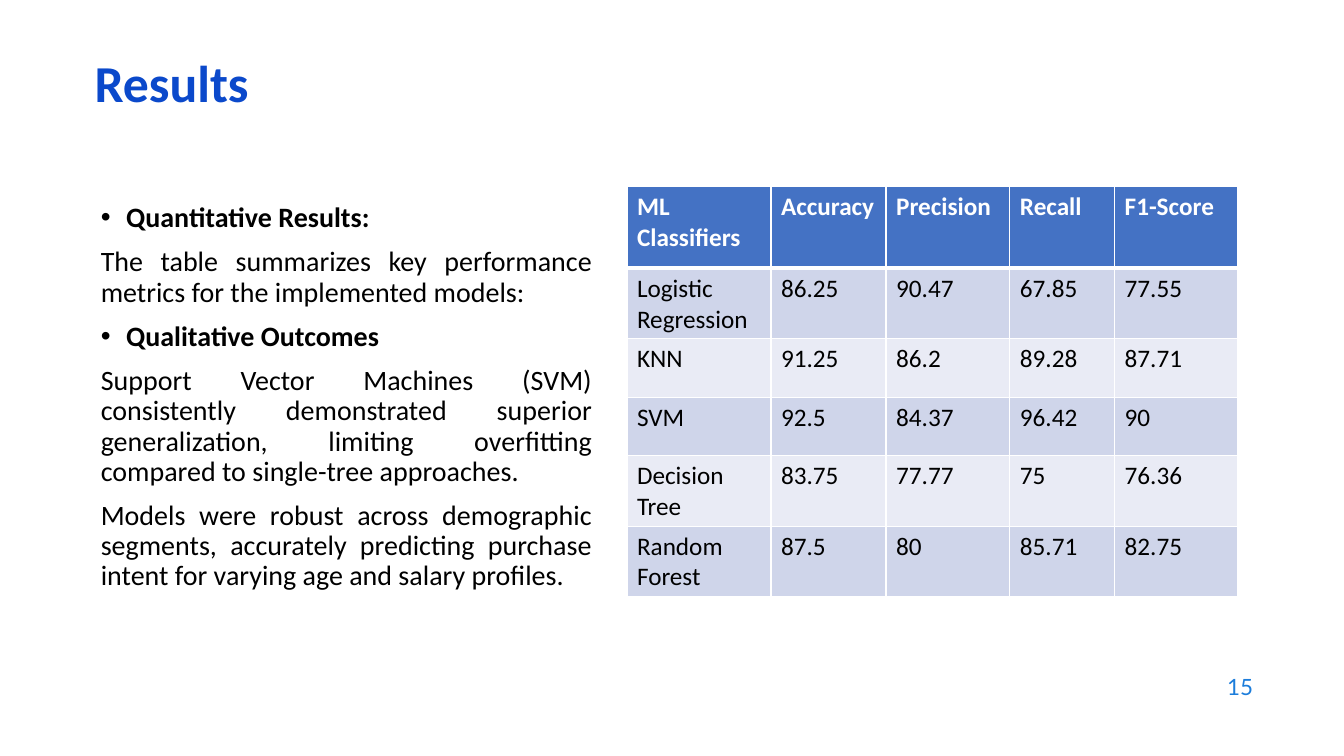
from lxml import etree
from pptx import Presentation
from pptx import util as u
from pptx.dml.color import RGBColor
from pptx.enum import text
from pptx.oxml import ns

COLORS = {
    "title": "0B49CB", "number": "1C7DDB", "text": "000000", "white": "FFFFFF",
    "header": "4472C4", "odd_row": "CFD5EA", "even_row": "E9EBF5",
}
FONT = "Calibri"

BODY = [  # (is a bulleted heading, text)
    (True, "Quantitative Results:"),
    (False, "The table summarizes key performance metrics for the implemented models:"),
    (True, "Qualitative Outcomes"),
    (False, "Support Vector Machines (SVM) consistently demonstrated superior "
            "generalization, limiting overfitting compared to single-tree approaches."),
    (False, "Models were robust across demographic segments, accurately predicting "
            "purchase intent for varying age and salary profiles."),
]
METRICS = [
    ["ML\nClassifiers", "Accuracy", "Precision", "Recall", "F1-Score"],
    ["Logistic\nRegression", "86.25", "90.47", "67.85", "77.55"],
    ["KNN", "91.25", "86.2", "89.28", "87.71"],
    ["SVM", "92.5", "84.37", "96.42", "90"],
    ["Decision\nTree", "83.75", "77.77", "75", "76.36"],
    ["Random\nForest", "87.5", "80", "85.71", "82.75"],
]
COLUMN_WIDTHS = [3.63, 2.9, 3.12, 2.64, 3.1]
HEADER_HEIGHT, ROW_HEIGHT = 2.06, 1.47


def cm_box(*lengths):
    return [u.Cm(length) for length in lengths]


def add_run(paragraph, words, size, color, bold=False, font=FONT):
    run = paragraph.add_run()
    run.text = words
    run.font.name = font
    run.font.size = u.Pt(size)
    run.font.bold = bold
    run.font.color.rgb = RGBColor.from_string(COLORS[color])


def next_paragraph(frame, index):
    return frame.add_paragraph() if index else frame.paragraphs[0]


def add_bullet(paragraph):
    properties = paragraph._p.get_or_add_pPr()
    indent = u.Cm(0.64)
    properties.set("marL", str(indent))
    properties.set("indent", str(-indent))
    font = etree.SubElement(properties, ns.qn("a:buFont"))
    font.set("typeface", "Arial")
    etree.SubElement(properties, ns.qn("a:buChar")).set("char", "•")


def set_title(slide):
    title = slide.shapes.title
    title.left, title.top, title.width, title.height = cm_box(2.13, 1.5, 29.21, 1.52)
    frame = title.text_frame
    frame.auto_size = text.MSO_AUTO_SIZE.NONE
    frame.vertical_anchor = text.MSO_ANCHOR.MIDDLE
    paragraph = frame.paragraphs[0]
    paragraph.alignment = text.PP_ALIGN.LEFT
    paragraph.line_spacing = 0.7
    add_run(paragraph, "Results", 37, "title", bold=True)


def add_body(slide):
    frame = slide.shapes.add_textbox(*cm_box(2.29, 5, 12.88, 11.73)).text_frame
    frame.word_wrap = True
    for index, (heading, words) in enumerate(BODY):
        paragraph = next_paragraph(frame, index)
        paragraph.alignment = text.PP_ALIGN.JUSTIFY
        paragraph.line_spacing = 0.9
        if index:
            paragraph.space_before = u.Pt(10)
        if heading:
            add_bullet(paragraph)
        add_run(paragraph, words, 20, "text", bold=heading)


def set_borders(cell, bottom_width):
    properties = cell._tc.get_or_add_tcPr()
    widths = {"a:lnL": 1, "a:lnR": 1, "a:lnT": 1, "a:lnB": bottom_width}
    for position, (side, width) in enumerate(widths.items()):
        line = etree.Element(ns.qn(side), w=str(u.Pt(width)))
        fill = etree.SubElement(line, ns.qn("a:solidFill"))
        etree.SubElement(fill, ns.qn("a:srgbClr")).set("val", COLORS["white"])
        properties.insert(position, line)


def fill_cell(cell, words, row):
    header = row == 0
    background = "header" if header else "odd_row" if row % 2 else "even_row"
    cell.fill.solid()
    cell.fill.fore_color.rgb = RGBColor.from_string(COLORS[background])
    set_borders(cell, 3 if header else 1)
    for index, line in enumerate(words.split("\n")):
        paragraph = next_paragraph(cell.text_frame, index)
        paragraph.alignment = text.PP_ALIGN.JUSTIFY
        add_run(paragraph, line, 18, "white" if header else "text", bold=header)


def add_metrics_table(slide):
    height = HEADER_HEIGHT + ROW_HEIGHT * (len(METRICS) - 1)
    box = cm_box(15.8, 4.7, sum(COLUMN_WIDTHS), height)
    table = slide.shapes.add_table(len(METRICS), len(COLUMN_WIDTHS), *box).table
    for column, width in zip(table.columns, COLUMN_WIDTHS):
        column.width = u.Cm(width)
    for row, values in enumerate(METRICS):
        table.rows[row].height = u.Cm(ROW_HEIGHT if row else HEADER_HEIGHT)
        for column, words in enumerate(values):
            fill_cell(table.cell(row, column), words, row)


def add_page_number(slide):
    frame = slide.shapes.add_textbox(*cm_box(24.21, 16.74, 7.62, 1.12)).text_frame
    frame.word_wrap = True
    frame.vertical_anchor = text.MSO_ANCHOR.MIDDLE
    frame.paragraphs[0].alignment = text.PP_ALIGN.RIGHT
    add_run(frame.paragraphs[0], "15", 16, "number", font="Lato")


def main():
    presentation = Presentation()
    presentation.slide_width, presentation.slide_height = cm_box(33.87, 19.05)
    slide = presentation.slides.add_slide(presentation.slide_layouts[5])
    set_title(slide)
    add_body(slide)
    add_metrics_table(slide)
    add_page_number(slide)
    presentation.save("out.pptx")


if __name__ == "__main__":
    main()
